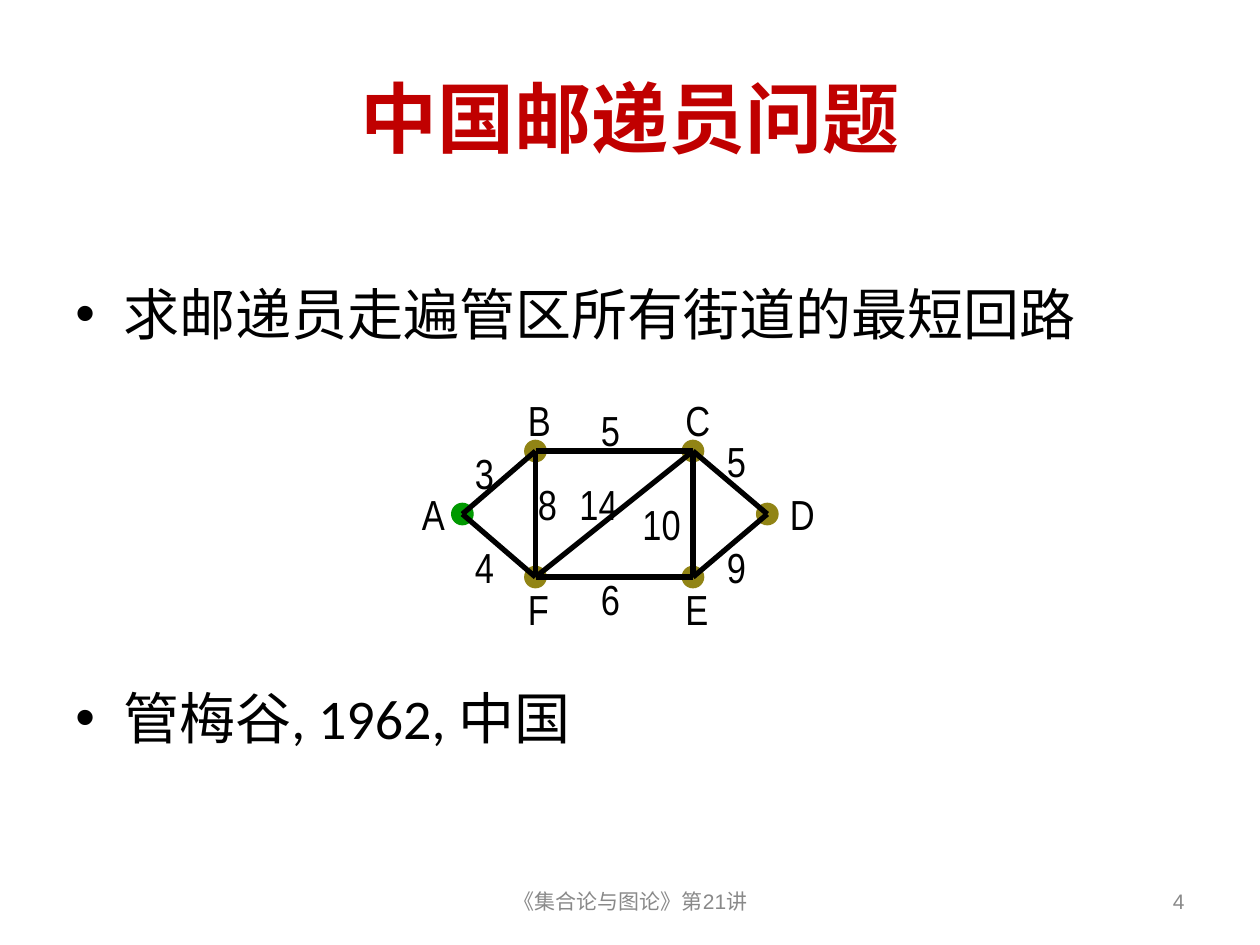
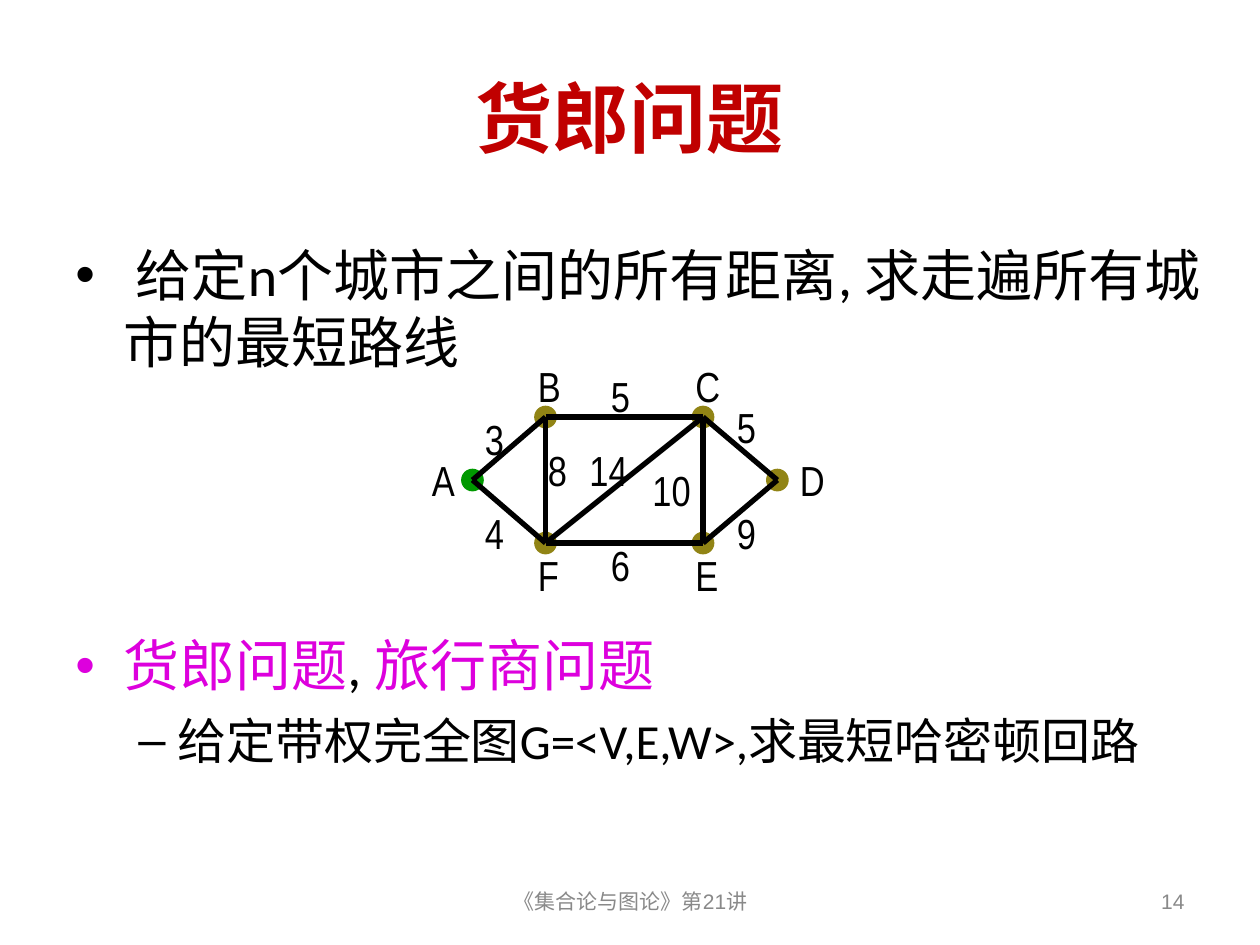
from dataclasses import dataclass

from lxml import etree
from pptx import Presentation
from pptx import util as u
from pptx.dml.color import RGBColor
from pptx.enum import shapes, text
from pptx.oxml.ns import qn


@dataclass(frozen=True)
class Theme:
    red: str = "C00000"
    black: str = "000000"
    grey: str = "898989"
    magenta: str = "DD00DD"
    olive: str = "918415"
    green: str = "009900"
    title_size: int = 44
    body_sizes: tuple = (32, 28)
    label_size: int = 24
    footer_size: int = 12
    body_font: str = "Calibri"
    label_font: str = "Arial Narrow"
    footer_font: str = "Arial"


# Outline levels: bullet, left margin, hanging indent, space before
LEVELS = (("•", 0.38, 0.38, 8), ("–", 0.81, 0.31, 7))
LINE_PITCH = 46.1  # points taken by one body line with its spacing

# Weighted graph, in inches from the centre of vertex A
VERTICES = {"B": (0.58, -0.5), "F": (0.58, 0.5), "C": (1.83, -0.5),
            "E": (1.83, 0.5), "A": (0, 0), "D": (2.42, 0)}
VERTEX_LABELS = {"A": (-0.42, -0.25), "B": (0.42, -1), "F": (0.42, 0.5),
                 "E": (1.67, 0.5), "C": (1.67, -1), "D": (2.5, -0.25)}
# Edge: weight and top left corner of its label
EDGES = {"BC": ("5", 1, -0.92), "FE": ("6", 1, 0.42), "AB": ("3", 0, -0.58),
         "AF": ("4", 0, 0.17), "CD": ("5", 2, -0.67), "ED": ("9", 2, 0.17),
         "BF": ("8", 0.5, -0.33), "FC": ("14", 0.83, -0.33),
         "CE": ("10", 1.33, -0.17)}
DOT = 0.17


class Pages:
    def __init__(self, theme):
        self.theme = theme
        self.deck = Presentation()
        self.deck.slide_width = u.Inches(10)
        self.deck.slide_height = u.Inches(7.5)

    def start(self, title, number):
        """Add a page with its title and footer."""
        t = self.theme
        self.page = self.deck.slides.add_slide(self.deck.slide_layouts[6])
        self.canvas = self.page.shapes
        middle, align = text.MSO_ANCHOR.MIDDLE, text.PP_ALIGN
        self.label(title, (0.5, 0.3, 9, 1.25), t.body_font, t.title_size,
                   t.red, align.CENTER, middle, bold=True)
        for words, left, width, side in (
                ("《集合论与图论》第21讲", 3.42, 3.17, align.CENTER),
                (str(number), 7.17, 2.33, align.RIGHT)):
            self.label(words, (left, 6.95, width, 0.4), t.footer_font,
                       t.footer_size, t.grey, side, middle)

    def frame(self, place, anchor=text.MSO_ANCHOR.TOP):
        box = self.canvas.add_textbox(*map(u.Inches, place))
        box.text_frame.word_wrap = True
        box.text_frame.vertical_anchor = anchor
        return box.text_frame

    def style(self, span, font, size, color, bold=False):
        span.font.name = font
        span.font.size = u.Pt(size)
        span.font.bold = bold
        span.font.color.rgb = RGBColor.from_string(color)

    def label(self, words, place, font, size, color,
              align=text.PP_ALIGN.LEFT, anchor=text.MSO_ANCHOR.TOP, bold=False):
        frame = self.frame(place, anchor)
        frame.text = words
        para = frame.paragraphs[0]
        para.alignment = align
        self.style(para.runs[0], font, size, color, bold)

    def body(self, place, items):
        """Items are (level, skipped lines before, [(words, colour), ...])."""
        frame = self.frame(place)
        for index, (level, skipped, spans) in enumerate(items):
            para = frame.add_paragraph() if index else frame.paragraphs[0]
            mark, margin, hang, before = LEVELS[level]
            para.level = level
            para.space_before = u.Pt(before + skipped * LINE_PITCH)
            self.bullet(para, mark, margin, hang, spans[0][1])
            for words, color in spans:
                span = para.add_run()
                span.text = words
                self.style(span, self.theme.body_font,
                           self.theme.body_sizes[level], color)

    def bullet(self, para, mark, margin, hang, color):
        props = para._p.get_or_add_pPr()
        props.set("marL", str(u.Inches(margin)))
        props.set("indent", str(-u.Inches(hang)))
        tint = etree.SubElement(props, qn("a:buClr"))
        etree.SubElement(tint, qn("a:srgbClr"), val=color)
        etree.SubElement(props, qn("a:buFont"), typeface="Arial")
        etree.SubElement(props, qn("a:buChar"), char=mark)

    def dot(self, x, y, color):
        dot = self.canvas.add_shape(
            shapes.MSO_SHAPE.OVAL, u.Inches(x - DOT / 2), u.Inches(y - DOT / 2),
            u.Inches(DOT), u.Inches(DOT))
        dot.shadow.inherit = False
        dot.fill.solid()
        dot.fill.fore_color.rgb = RGBColor.from_string(color)
        dot.line.color.rgb = RGBColor.from_string(color)
        dot.line.width = u.Pt(0.75)

    def line(self, start, end):
        line = self.canvas.add_connector(
            shapes.MSO_CONNECTOR.STRAIGHT, *map(u.Inches, (*start, *end)))
        line.line.color.rgb = RGBColor.from_string(self.theme.black)
        line.line.width = u.Pt(3)
        etree.SubElement(line._element.spPr, qn("a:effectLst"))

    def graph(self, left, middle, grouped=False):
        """Draw the weighted graph with vertex A centred at left, middle."""
        t = self.theme
        if grouped:
            self.canvas = self.page.shapes.add_group_shape().shapes
        centers = {name: (left + x, middle + y)
                   for name, (x, y) in VERTICES.items()}
        for name, center in centers.items():
            self.dot(*center, t.green if name == "A" else t.olive)
        for start, end in EDGES:
            self.line(centers[start], centers[end])
        names = [(name, x, y) for name, (x, y) in VERTEX_LABELS.items()]
        for words, x, y in names + list(EDGES.values()):
            width = 0.42 if len(words) == 1 else 0.58
            self.label(words, (left + x, middle + y, width, 0.5),
                       t.label_font, t.label_size, t.black)
        self.canvas = self.page.shapes


def main():
    theme = Theme()
    pages = Pages(theme)
    black, magenta = theme.black, theme.magenta

    # Chinese postman problem
    pages.start("中国邮递员问题", 4)
    pages.body((0.5, 2.17, 9, 4.67), [
        (0, 0, [("求邮递员走遍管区所有街道的最短回路", black)]),
        (0, 4, [("管梅谷, 1962, 中国", black)])])
    pages.graph(3.67, 4.08)

    # Travelling salesman problem
    pages.start("货郎问题", 14)
    pages.body((0.5, 1.86, 9.17, 4.5), [
        (0, 0, [(" 给定n个城市之间的所有距离, 求走遍所有城市的最短路线", black)]),
        (0, 3, [("货郎问题", magenta), (", ", black), ("旅行商问题", magenta)]),
        (1, 0, [("给定带权完全图G=<V,E,W>,求最短哈密顿回路", black)])])
    pages.graph(3.75, 3.81, grouped=True)

    pages.deck.save("out.pptx")


if __name__ == "__main__":
    main()
